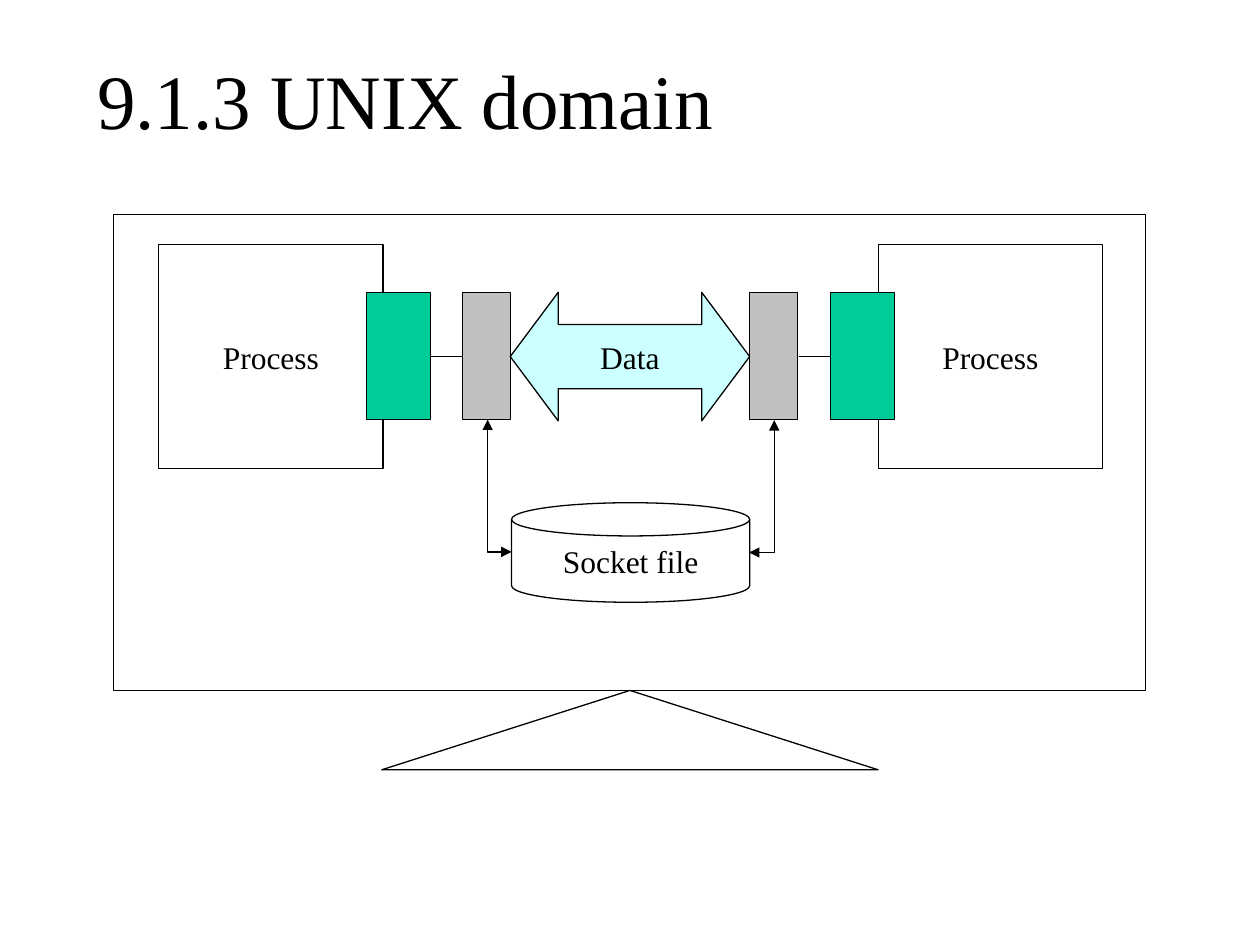
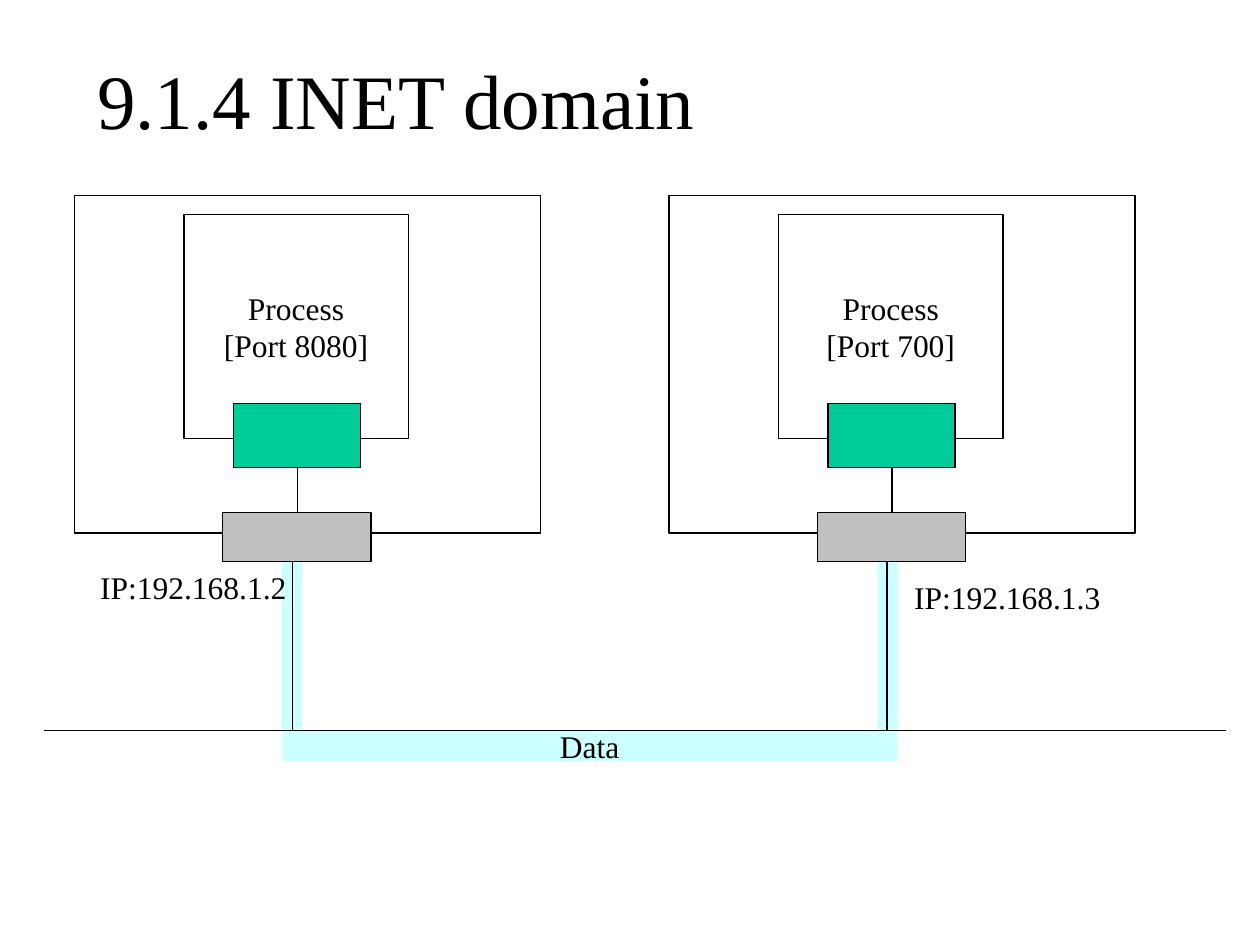
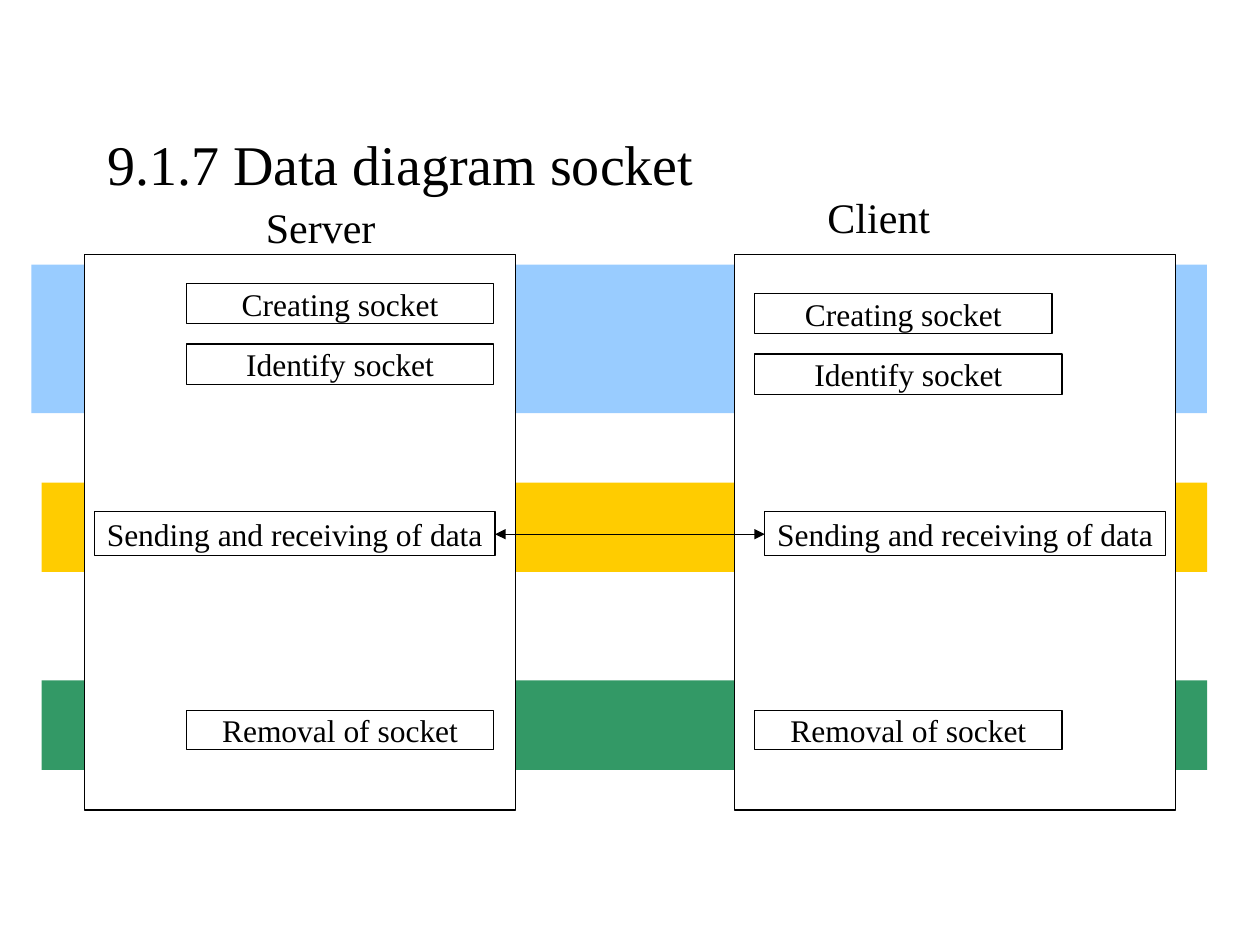
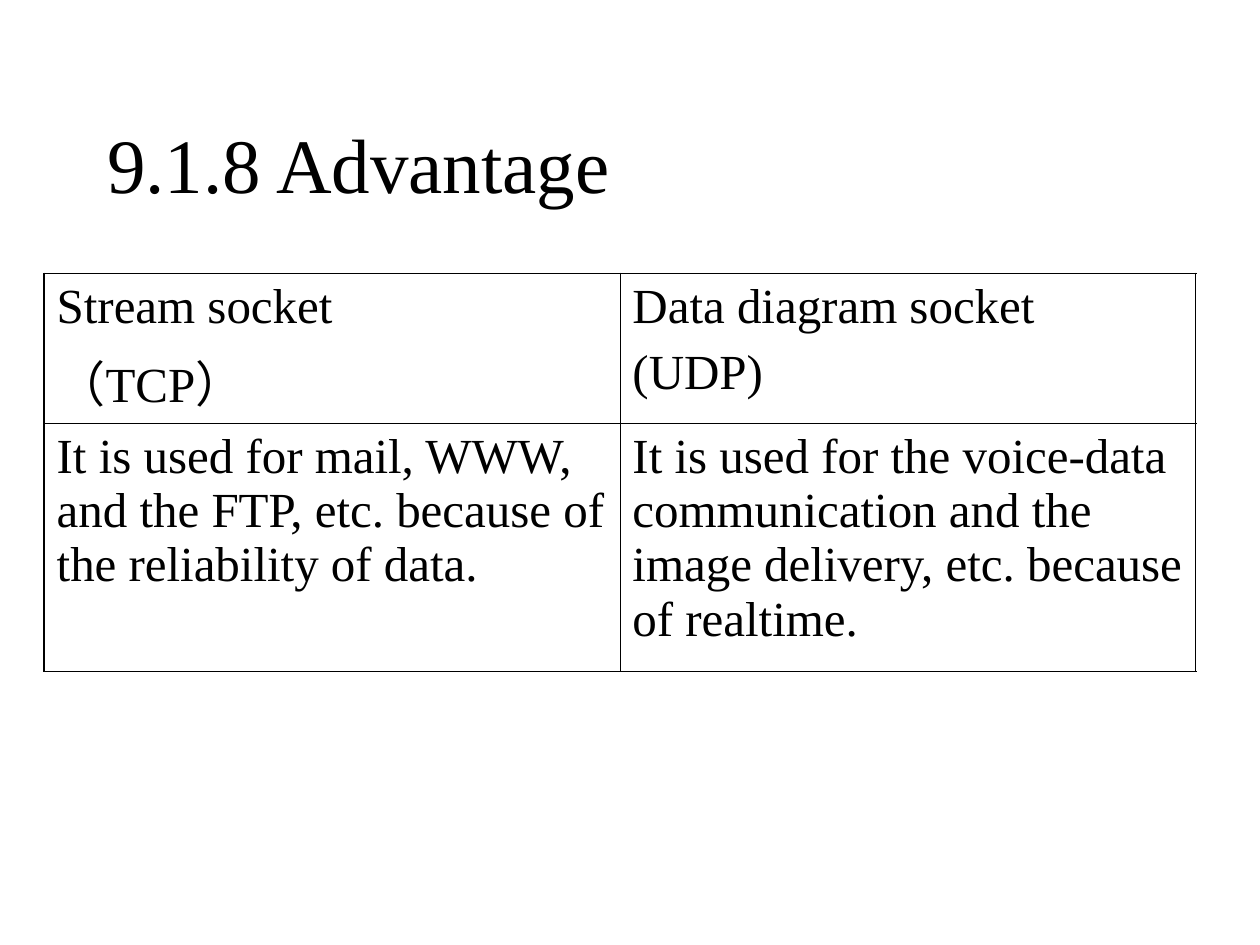
from pptx import Presentation
from pptx.dml.color import RGBColor
from pptx.enum.shapes import MSO_CONNECTOR, MSO_SHAPE
from pptx.enum.text import MSO_ANCHOR, MSO_AUTO_SIZE, PP_ALIGN
from pptx.oxml.ns import qn
from pptx.util import Inches, Pt
from lxml.etree import SubElement

FONT = "Times New Roman"
BLACK, WHITE = "000000", "FFFFFF"
SOCKET_GREEN, INTERFACE_GRAY, DATA_CYAN = "00CC99", "C0C0C0", "CCFFFF"
SETUP_BLUE, TRANSFER_YELLOW, REMOVAL_GREEN = "99CCFF", "FFCC00", "339966"


def add_box(slide, left, top, width, height, fill, text="", kind=MSO_SHAPE.RECTANGLE, outlined=True):
    shape = slide.shapes.add_shape(kind, Inches(left), Inches(top), Inches(width), Inches(height))
    shape.shadow.inherit = False
    shape.fill.solid()
    shape.fill.fore_color.rgb = RGBColor.from_string(fill)
    if outlined:
        shape.line.color.rgb = RGBColor.from_string(BLACK)
        shape.line.width = Pt(0.75)
    else:
        shape.line.fill.background()
    if text:
        shape.text_frame.text = text
        shape.text_frame.word_wrap = False
        shape.text_frame.vertical_anchor = MSO_ANCHOR.MIDDLE
        for paragraph in shape.text_frame.paragraphs:
            paragraph.alignment = PP_ALIGN.CENTER
            font = paragraph.runs[0].font
            font.name, font.size = FONT, Pt(18)
            font.color.rgb = RGBColor.from_string(BLACK)
    return shape


def add_line(slide, x1, y1, x2, y2, arrows=False):
    connector = slide.shapes.add_connector(
        MSO_CONNECTOR.STRAIGHT, Inches(x1), Inches(y1), Inches(x2), Inches(y2))
    connector.line.color.rgb = RGBColor.from_string(BLACK)
    connector.line.width = Pt(0.75)
    if arrows:
        for end in ("a:headEnd", "a:tailEnd"):
            SubElement(connector.line._get_or_add_ln(), qn(end), type="triangle")
    SubElement(connector._element.spPr, qn("a:effectLst"))
    return connector


presentation = Presentation()
presentation.slide_width, presentation.slide_height = Inches(10), Inches(7.5)

slides = []
for title_text, size, left, top, height in (
    ("9.1.3 UNIX domain", 44, 0.67, 0.28, 1),
    ("9.1.4 INET domain", 44, 0.67, 0.28, 1),
    ("9.1.7 Data diagram socket", 32, 0.75, 0.67, 1.25),
    ("9.1.8 Advantage", 44, 0.75, 0.67, 1.25),
):
    slide = presentation.slides.add_slide(presentation.slide_layouts[5])
    title = slide.shapes.title
    title.left, title.top = Inches(left), Inches(top)
    title.width, title.height = Inches(8.5), Inches(height)
    title.text_frame.text = title_text
    title.text_frame.auto_size = MSO_AUTO_SIZE.NONE
    title.text_frame.vertical_anchor = MSO_ANCHOR.MIDDLE
    paragraph = title.text_frame.paragraphs[0]
    paragraph.alignment = PP_ALIGN.LEFT
    font = paragraph.runs[0].font
    font.name, font.size = FONT, Pt(size)
    font.color.rgb = RGBColor.from_string(BLACK)
    slides.append(slide)
unix_slide, inet_slide, datagram_slide, advantage_slide = slides

add_box(unix_slide, 0.9, 1.7, 8.19, 3.78, WHITE)
for process_left, socket_left, interface_left, wire_start, wire_end in (
    (1.26, 2.91, 3.67, 3.67, 3.42),
    (6.97, 6.59, 5.95, 6.34, 6.59),
):
    add_box(unix_slide, process_left, 1.94, 1.78, 1.78, WHITE, "Process")
    add_box(unix_slide, socket_left, 2.32, 0.51, 1.01, SOCKET_GREEN)
    add_box(unix_slide, interface_left, 2.32, 0.38, 1.01, INTERFACE_GRAY)
    add_line(unix_slide, wire_start, 2.83, wire_end, 2.83)
data_arrow = add_box(unix_slide, 4.05, 2.32, 1.9, 1.02, DATA_CYAN, "Data", MSO_SHAPE.LEFT_RIGHT_ARROW)
data_arrow.adjustments[1] = 0.373
add_box(unix_slide, 3.03, 5.48, 3.94, 0.63, WHITE, kind=MSO_SHAPE.ISOSCELES_TRIANGLE)
add_box(unix_slide, 4.06, 3.99, 1.89, 0.79, WHITE, "Socket file", MSO_SHAPE.FLOWCHART_MAGNETIC_DISK)
for x1, x2, bottom, degrees in ((4.49, 3.44, 3.95, 270), (5.52, 6.57, 3.96, 90)):
    connector = add_line(unix_slide, x1, 3.76, x2, bottom, arrows=True)
    properties = connector._element.spPr
    properties.find(qn("a:xfrm")).set("rot", str(degrees * 60000))
    properties.find(qn("a:prstGeom")).set("prst", "bentConnector2")

for left in (2.24, 6.97):
    add_box(inet_slide, left, 4.46, 0.16, 1.34, DATA_CYAN, outlined=False)
add_box(inet_slide, 2.24, 5.8, 4.88, 0.24, DATA_CYAN, "Data", outlined=False)
for offset, port in ((0, 8080), (4.72, 700)):
    add_box(inet_slide, 0.59 + offset, 1.55, 3.7, 2.68, WHITE)
    add_box(inet_slide, 1.46 + offset, 1.7, 1.78, 1.78, WHITE, f"Process\n[Port {port}]")
    add_box(inet_slide, 2.1 + offset, 2.95, 0.51, 1.01, SOCKET_GREEN).rotation = 90
    add_box(inet_slide, 2.16 + offset, 3.67, 0.39, 1.18, INTERFACE_GRAY).rotation = 90
    add_line(inet_slide, 2.36 + offset, 4.06, 2.36 + offset, 3.71)
    add_line(inet_slide, 2.32 + offset, 4.46, 2.32 + offset, 5.8)
add_line(inet_slide, 0.35, 5.8, 9.73, 5.8)

for left, top, width, height, colour in (
    (0.33, 5.4, 9.25, 0.71, REMOVAL_GREEN),
    (0.33, 3.83, 9.25, 0.71, TRANSFER_YELLOW),
    (0.25, 2.1, 9.33, 1.18, SETUP_BLUE),
):
    add_box(datagram_slide, left, top, width, height, colour, outlined=False)
for panel_left, panel_width, step_left, create_width, create_top, transfer_left in (
    (0.67, 3.42, 1.48, 2.44, 2.25, 0.75),
    (5.83, 3.5, 5.99, 2.36, 2.33, 6.07),
):
    add_box(datagram_slide, panel_left, 2.02, panel_width, 4.41, WHITE)
    add_box(datagram_slide, step_left, create_top, create_width, 0.32, WHITE, "Creating socket")
    add_box(datagram_slide, step_left, create_top + 0.48, 2.44, 0.32, WHITE, "Identify socket")
    add_box(datagram_slide, transfer_left, 4.06, 3.18, 0.35, WHITE, "Sending and receiving of data")
    add_box(datagram_slide, step_left, 5.64, 2.44, 0.31, WHITE, "Removal of socket")
add_line(datagram_slide, 3.93, 4.24, 6.07, 4.24, arrows=True)

for slide, text, size, left, top, width, height in (
    (inet_slide, "IP:192.168.1.2", 18, 0.67, 4.46, 1.73, 0.4),
    (inet_slide, "IP:192.168.1.3", 18, 7.13, 4.54, 1.73, 0.4),
    (datagram_slide, "Server", 24, 1.72, 1.55, 1.65, 0.5),
    (datagram_slide, "Client", 24, 5.99, 1.47, 1.97, 0.5),
):
    label = slide.shapes.add_textbox(Inches(left), Inches(top), Inches(width), Inches(height))
    label.text_frame.text = text
    label.text_frame.word_wrap = True
    label.text_frame.auto_size = MSO_AUTO_SIZE.SHAPE_TO_FIT_TEXT
    paragraph = label.text_frame.paragraphs[0]
    paragraph.alignment = PP_ALIGN.CENTER
    paragraph.space_before = Pt(size * 0.625)
    font = paragraph.runs[0].font
    font.name, font.size = FONT, Pt(size)
    font.color.rgb = RGBColor.from_string(BLACK)

cell_texts = (
    ("Stream socket\n（TCP）", "Data diagram socket\n(UDP)"),
    ("It is used for mail, WWW, and the FTP, etc. because of the reliability of data.",
     "It is used for the voice-data communication and the image delivery, etc. because of realtime."),
)
table = advantage_slide.shapes.add_table(
    2, 2, Inches(0.35), Inches(2.17), Inches(9.14), Inches(3.16)).table
table.first_row = table.horz_banding = False
for column in table.columns:
    column.width = Inches(4.57)
for row, height in zip(table.rows, (1.19, 1.97)):
    row.height = Inches(height)
for row_index, row_texts in enumerate(cell_texts):
    for column_index, text in enumerate(row_texts):
        cell = table.cell(row_index, column_index)
        cell.text_frame.text = text
        for paragraph in cell.text_frame.paragraphs:
            paragraph.space_before = Pt(7)
            font = paragraph.runs[0].font
            font.name, font.size = FONT, Pt(28)
            font.color.rgb = RGBColor.from_string(BLACK)
        cell_properties = cell._tc.get_or_add_tcPr()
        for side, is_outer in (
            ("a:lnL", column_index == 0), ("a:lnR", column_index == 1),
            ("a:lnT", row_index == 0), ("a:lnB", row_index == 1),
        ):
            border = SubElement(cell_properties, qn(side), w=str(Pt(1.08 if is_outer else 0.45)))
            border_fill = SubElement(border, qn("a:solidFill"))
            SubElement(border_fill, qn("a:srgbClr"), val=BLACK)
        cell.fill.background()

presentation.save("out.pptx")
